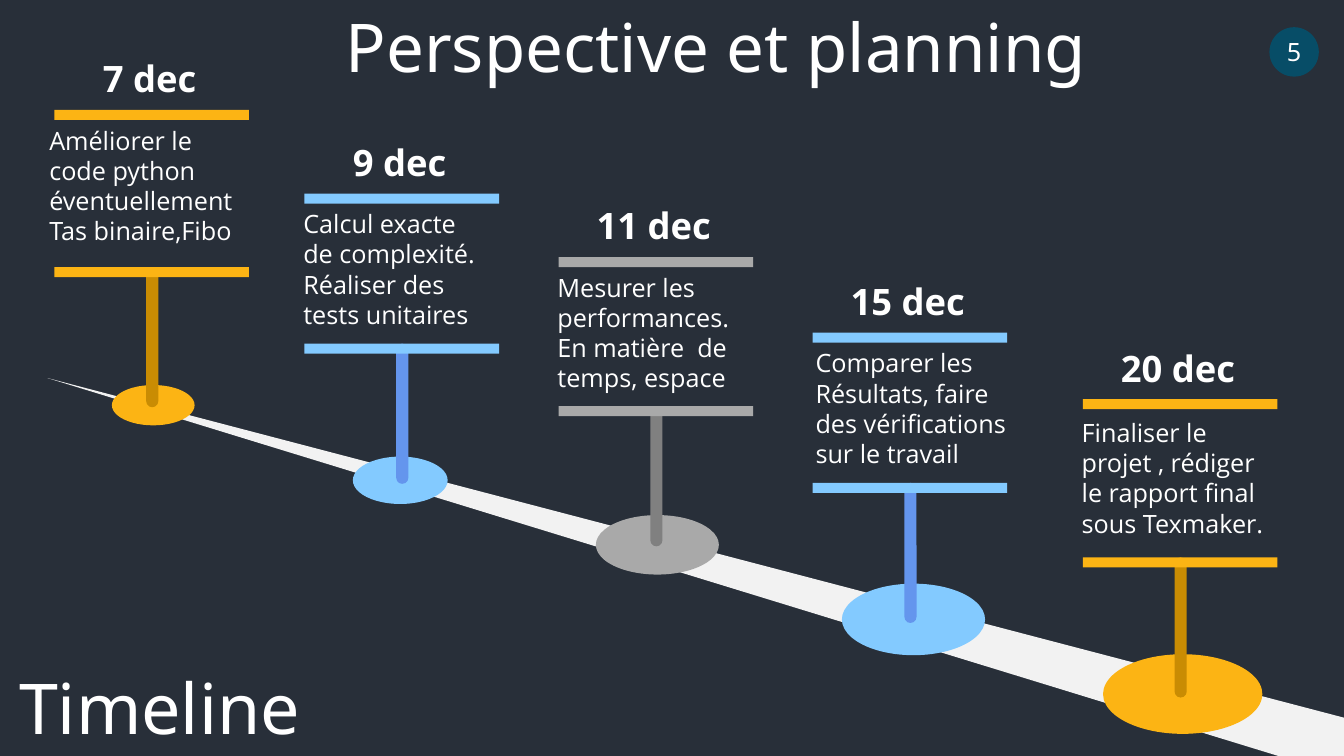
from pptx import Presentation
from pptx.dml.color import RGBColor
from pptx.enum.shapes import MSO_SHAPE
from pptx.enum.text import MSO_ANCHOR, MSO_AUTO_SIZE, PP_ALIGN
from pptx.util import Emu, Pt

RECTANGLE, ROUNDED, ELLIPSE = MSO_SHAPE.RECTANGLE, MSO_SHAPE.ROUNDED_RECTANGLE, MSO_SHAPE.OVAL
LEFT, CENTER = PP_ALIGN.LEFT, PP_ALIGN.CENTER
TOP, MIDDLE = MSO_ANCHOR.TOP, MSO_ANCHOR.MIDDLE
NO_AUTOFIT = MSO_AUTO_SIZE.NONE
TITLE_ONLY = 5
WIDTH, HEIGHT = 1333, 750

ORANGE, BLUE, GRAY = ("FCB414", "C98C03"), ("83CAFF", "6495ED"), ("A9A9A9", "808080")


def px(length):
    return Emu(length * 9144)


def color(hex_value):
    return RGBColor.from_string(hex_value)


class TimelineSlide:
    heading_font = "Noto Sans"
    body_font = "Open Sans"
    ink = "FFFFFF"
    backdrop = "282F39"

    def __init__(self, deck):
        self.slide = deck.slides.add_slide(deck.slide_layouts[TITLE_ONLY])
        background = self.slide.background.fill
        background.solid()
        background.fore_color.rgb = color(self.backdrop)

    def paint(self, shape, fill):
        shape.shadow.inherit = False
        shape.fill.solid()
        shape.fill.fore_color.rgb = color(fill)
        shape.line.fill.background()
        return shape

    def shape(self, kind, box, fill):
        return self.paint(self.slide.shapes.add_shape(kind, *map(px, box)), fill)

    def road(self, corners, fill):
        builder = self.slide.shapes.build_freeform(*corners[0], scale=px(1))
        builder.add_line_segments(corners[1:], close=True)
        self.paint(builder.convert_to_shape(), fill)

    def set_text(self, holder, lines, size, font, align=LEFT, bold=False, anchor=TOP, wrap=True):
        frame = holder.text_frame
        frame.text = "\n".join(lines)
        frame.word_wrap = wrap
        frame.auto_size = NO_AUTOFIT
        frame.vertical_anchor = anchor
        for paragraph in frame.paragraphs:
            paragraph.alignment = align
            paragraph.font.size = Pt(size)
            paragraph.font.name = font
            paragraph.font.bold = bold
            paragraph.font.color.rgb = color(self.ink)

    def text(self, box, lines, size, font, **style):
        self.set_text(self.slide.shapes.add_textbox(*map(px, box)), lines, size, font, **style)

    def title(self, box, wording):
        heading = self.slide.shapes.title
        heading.left, heading.top, heading.width, heading.height = map(px, box)
        self.set_text(heading, [wording], 48, self.heading_font, align=CENTER)

    def page_number(self, box, number):
        badge = self.shape(ELLIPSE, box, "074D67")
        self.set_text(badge, [number], 18, self.heading_font, align=CENTER, anchor=MIDDLE, wrap=False)

    def milestone(self, date, tasks, colors, corner, sign_height, base, tasks_box):
        light, dark = colors
        left, top = corner
        foot = top + sign_height
        self.shape(ELLIPSE, base, light)
        stem = self.shape(ROUNDED, (left + 91, foot, 12, 139), dark)
        stem.adjustments[0] = 0.5
        for bar_top in (top, foot):
            self.shape(RECTANGLE, (left, bar_top, 193, 10), light)
        self.text((left - 19, top - 58, 227, 53), [date], 26, self.body_font, align=CENTER, bold=True)
        indent, drop, width = tasks_box
        self.text((left - indent, top + drop, width, 130), tasks, 18, self.body_font)


MILESTONES = [
    ("7 dec", ["Améliorer le", "code python éventuellement", "Tas binaire,Fibo"],
     ORANGE, (54, 109), 156, (111, 382, 82, 40), (15, 10, 252)),
    ("9 dec", ["Calcul exacte", "de complexité.", "Réaliser des", "tests unitaires"],
     BLUE, (302, 192), 149, (350, 453, 94, 47), (11, 10, 252)),
    ("11 dec", ["Mesurer les performances.", "En matière  de temps, espace"],
     GRAY, (554, 255), 148, (591, 511, 122, 59), (11, 10, 252)),
    ("15 dec", ["Comparer les", "Résultats, faire", "des vérifications", "sur le travail"],
     BLUE, (806, 330), 149, (835, 579, 142, 71), (7, 10, 252)),
    ("20 dec", ["Finaliser le projet , rédiger le rapport final sous Texmaker."],
     ORANGE, (1074, 396), 157, (1094, 649, 158, 79), (11, 13, 215)),
]


def main():
    deck = Presentation()
    deck.slide_width, deck.slide_height = px(WIDTH), px(HEIGHT)
    planning = TimelineSlide(deck)
    planning.road([(WIDTH, HEIGHT), (1268, HEIGHT), (47, 375), (WIDTH, 712)], "F2F2F2")
    for milestone in MILESTONES:
        planning.milestone(*milestone)
    planning.page_number((1259, 27, 49, 49), "5")
    planning.text((9, 654, 715, 93), ["Timeline"], 50, planning.heading_font)
    planning.title((181, 0, 1058, 90), "Perspective et planning")
    deck.save("out.pptx")


if __name__ == "__main__":
    main()
